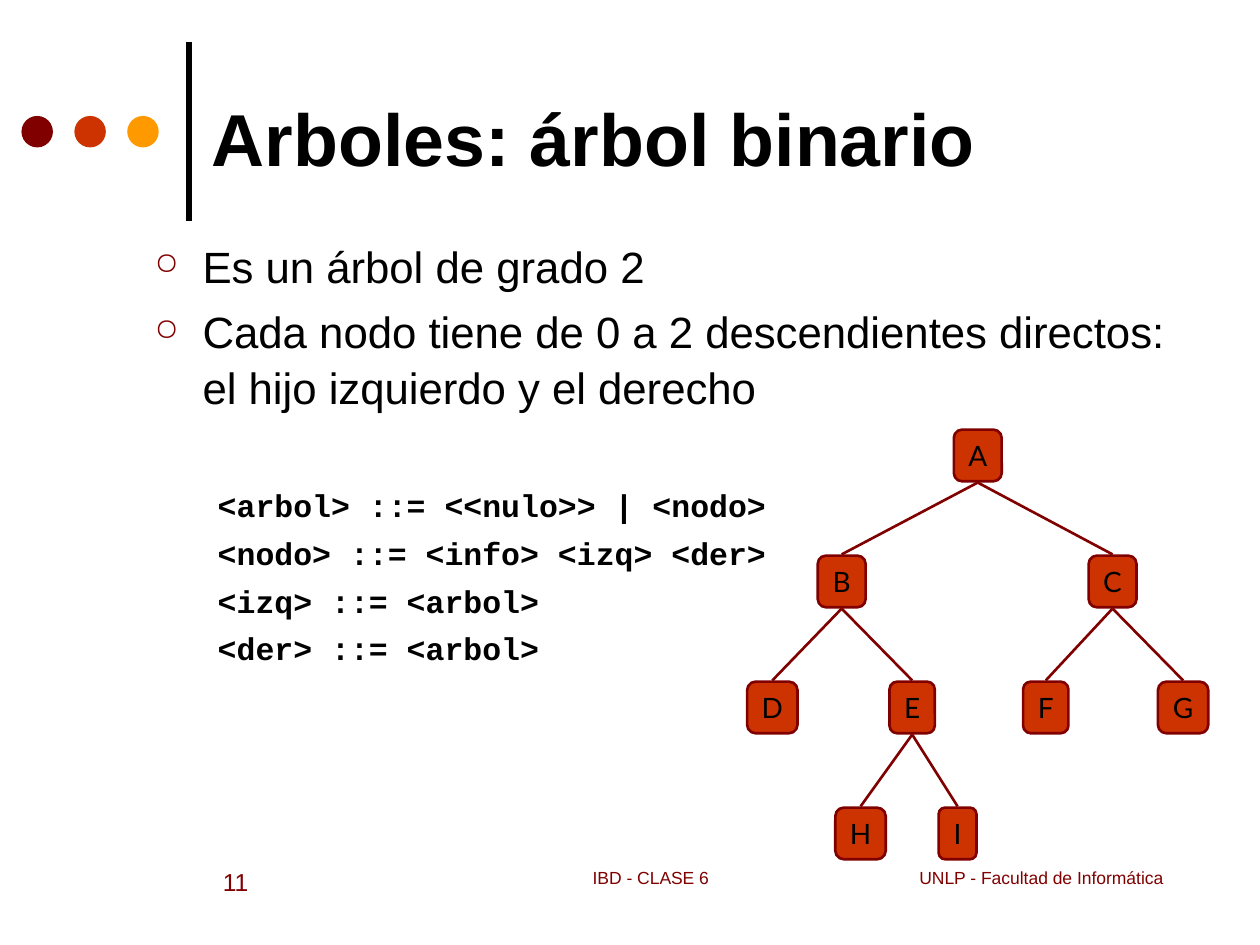
import pptx
import pptx.util
import pptx.dml.color
import pptx.enum.shapes
import pptx.enum.text
from lxml import etree

Inches = pptx.util.Inches
Pt = pptx.util.Pt
SHAPE = pptx.enum.shapes.MSO_SHAPE
ALIGN = pptx.enum.text.PP_ALIGN
ANCHOR = pptx.enum.text.MSO_ANCHOR
FIT = pptx.enum.text.MSO_AUTO_SIZE

COLORS = {"black": "000000", "maroon": "800000", "red": "CC3300", "orange": "FF9900"}

BULLETS = [
    "Es un árbol de grado 2",
    "Cada nodo tiene de 0 a 2 descendientes directos: el hijo izquierdo y el derecho",
]
GRAMMAR = [
    "<arbol> ::= <<nulo>> | <nodo>",
    "<nodo> ::= <info> <izq> <der>",
    "<izq> ::= <arbol>",
    "<der> ::= <arbol>",
]
NODES = {
    "A": (1.83, 0, 0.38), "B": (0.75, 1, 0.38), "C": (2.9, 1, 0.38),
    "D": (0.2, 2, 0.4), "E": (1.31, 2, 0.36), "F": (2.37, 2, 0.36),
    "G": (3.46, 2, 0.4), "H": (0.9, 3, 0.4), "I": (1.67, 3, 0.3),
}
EDGES = ["AB", "AC", "BD", "BE", "CF", "CG", "EH", "EI"]
NODE_HEIGHT = 0.41
ROW_STEP = 1.0
EDGE_GAP = 0.01


def rgb(name):
    return pptx.dml.color.RGBColor.from_string(COLORS[name])


def style(p, size, color="black", font="Arial", bold=False):
    for r in p.runs:
        r.font.size = Pt(size)
        r.font.name = font
        r.font.bold = bold
        r.font.color.rgb = rgb(color)


def add_line(s, start, end, color, width):
    line = s.shapes.add_connector(
        pptx.enum.shapes.MSO_CONNECTOR.STRAIGHT, *[Inches(v) for v in start + end])
    line.line.color.rgb = rgb(color)
    line.line.width = Pt(width)
    etree.SubElement(line._element.spPr, pptx.oxml.ns.qn("a:effectLst"))


def add_filled(s, shape, box, color):
    sp = s.shapes.add_shape(shape, *[Inches(v) for v in box])
    sp.shadow.inherit = False
    sp.fill.solid()
    sp.fill.fore_color.rgb = rgb(color)
    sp.line.fill.background()
    return sp


def add_ornament(s, left, top, bar_x, bar_top, bar_bottom):
    add_line(s, (bar_x, bar_bottom), (bar_x, bar_top), "black", 3)
    for i, color in enumerate(["maroon", "red", "orange"]):
        add_filled(s, SHAPE.OVAL, (left + 0.42 * i, top, 0.25, 0.25), color)


def add_title(s, box, text):
    sp = s.shapes.title
    sp.left, sp.top, sp.width, sp.height = [Inches(v) for v in box]
    tf = sp.text_frame
    tf.text = text
    tf.auto_size = FIT.NONE
    tf.vertical_anchor = ANCHOR.MIDDLE
    tf.paragraphs[0].alignment = ALIGN.LEFT
    style(tf.paragraphs[0], 42, bold=True)


def set_indent(p, margin, indent):
    pPr = p._p.get_or_add_pPr()
    pPr.set("marL", str(Inches(margin)))
    pPr.set("indent", str(Inches(indent)))
    return pPr


def add_bullet(p):
    pPr = set_indent(p, 0.38, -0.38)
    color = etree.SubElement(pPr, pptx.oxml.ns.qn("a:buClr"))
    etree.SubElement(color, pptx.oxml.ns.qn("a:srgbClr"), val=COLORS["maroon"])
    etree.SubElement(pPr, pptx.oxml.ns.qn("a:buSzPct"), val="70000")
    etree.SubElement(pPr, pptx.oxml.ns.qn("a:buChar"), char="○")


def add_body(s, box):
    tf = s.shapes.add_textbox(*[Inches(v) for v in box]).text_frame
    tf.word_wrap = True
    tf.text = "\n".join(BULLETS + GRAMMAR)
    for i, p in enumerate(tf.paragraphs):
        p.line_spacing = 1.05
        if i < len(BULLETS):
            p.space_before = Pt(6.2)
            add_bullet(p)
            style(p, 25)
        else:
            p.level = 1
            p.space_before = Pt(41 if i == len(BULLETS) else 4.5)
            set_indent(p, 0.81, -0.31)
            style(p, 18, font="Courier New", bold=True)


def add_tree(s, left, top):
    def row_top(name):
        return top + ROW_STEP * NODES[name][1]

    for name, (x, row, width) in NODES.items():
        box = (left + x - width / 2, row_top(name), width, NODE_HEIGHT)
        sp = add_filled(s, SHAPE.ROUNDED_RECTANGLE, box, "red")
        sp.adjustments[0] = 0.17
        sp.line.color.rgb = rgb("maroon")
        sp.line.width = Pt(1.5)
        tf = sp.text_frame
        tf.word_wrap = False
        tf.vertical_anchor = ANCHOR.MIDDLE
        tf.text = name
        tf.paragraphs[0].alignment = ALIGN.CENTER
        style(tf.paragraphs[0], 16, font="Lato")
    for parent, child in EDGES:
        start = (left + NODES[parent][0], row_top(parent) + NODE_HEIGHT + EDGE_GAP)
        end = (left + NODES[child][0], row_top(child) - EDGE_GAP)
        add_line(s, start, end, "maroon", 1.5)


def add_footer(s, top, height):
    for left, width, text, size, align in [
        (3.58, 3.17, "IBD - CLASE 6", 10, ALIGN.CENTER),
        (1.67, 1.42, "11", 14, ALIGN.LEFT),
        (6.65, 2.68, "UNLP - Facultad de Informática", 10, ALIGN.RIGHT),
    ]:
        box = [Inches(v) for v in (left, top, width, height)]
        tf = s.shapes.add_textbox(*box).text_frame
        tf.word_wrap = True
        tf.text = text
        tf.paragraphs[0].alignment = align
        style(tf.paragraphs[0], size, "maroon")


def main():
    prs = pptx.Presentation()
    prs.slide_width, prs.slide_height = Inches(10), Inches(7.5)
    s = prs.slides.add_slide(prs.slide_layouts[5])
    add_ornament(s, 0.17, 0.92, 1.5, 0.33, 1.75)
    add_title(s, (1.58, 0.75, 7.83, 0.68), "Arboles: árbol binario")
    add_body(s, (1.13, 1.83, 8.53, 4.83))
    add_tree(s, 5.93, 3.41)
    add_footer(s, 6.83, 0.5)
    prs.save("out.pptx")


if __name__ == "__main__":
    main()
